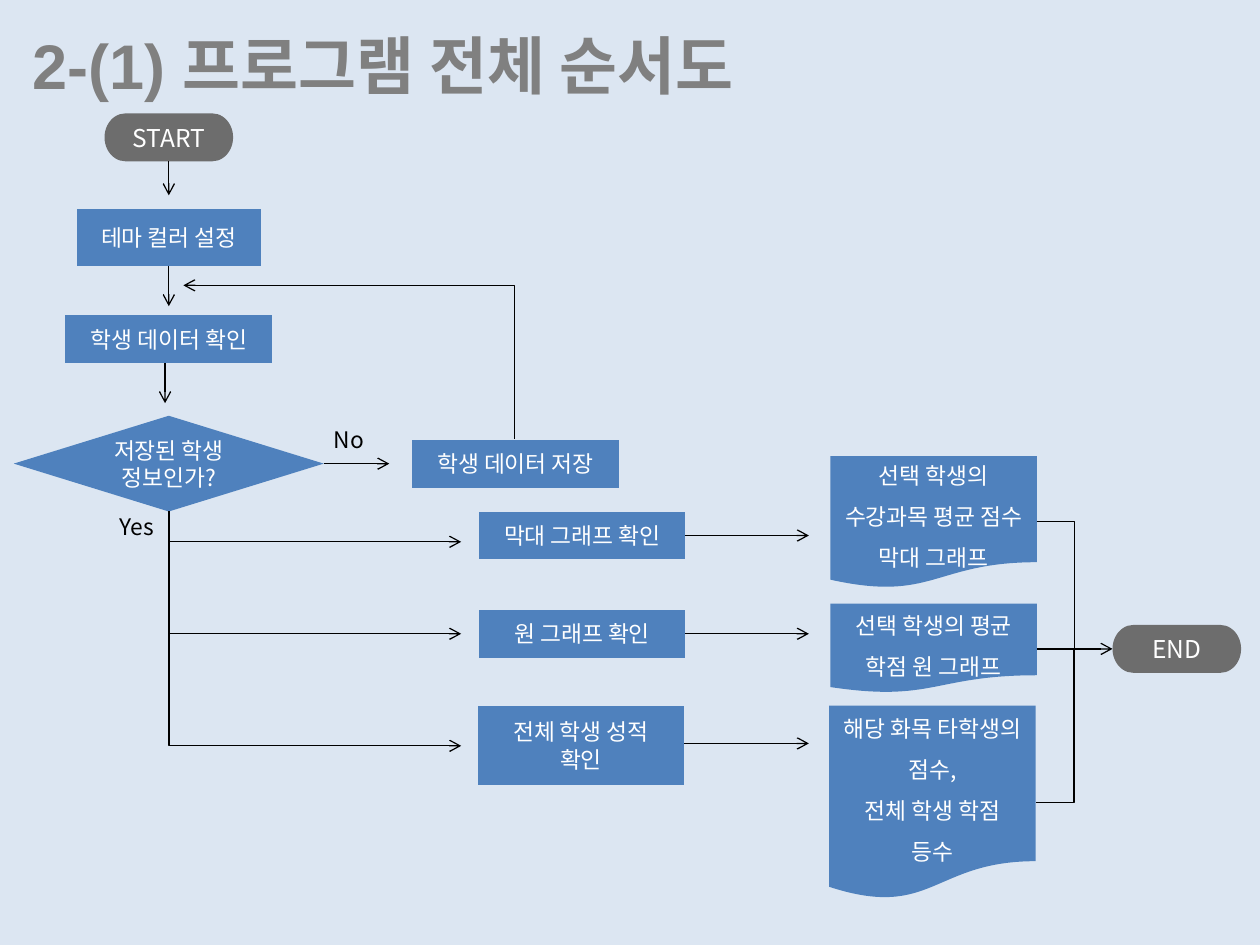
from lxml.etree import SubElement
from pptx import Presentation
from pptx.dml.color import RGBColor
from pptx.enum.shapes import MSO_CONNECTOR, MSO_SHAPE
from pptx.enum.text import MSO_ANCHOR, MSO_AUTO_SIZE, PP_ALIGN
from pptx.oxml.ns import qn
from pptx.util import Inches, Pt

COLORS = {"bg": "DCE6F2", "title": "808080", "end": "6D6D6D",
          "box": "4F81BD", "white": "FFFFFF", "black": "000000"}
KR = "Noto Sans CJK KR"
CELL = 0.1


def color(name):
    """Return the named colour."""
    return RGBColor.from_string(COLORS[name])


def grid(*cells):
    """Turn counts of grid cells into lengths."""
    return [Inches(n * CELL) for n in cells]


def write(tf, text, size=13, fill="white", font=KR, bold=False,
          align=PP_ALIGN.CENTER, spacing=None):
    """Fill a text frame, one paragraph per line of text."""
    for i, line in enumerate(text.split("\n")):
        p = tf.add_paragraph() if i else tf.paragraphs[0]
        p.alignment, p.line_spacing = align, spacing
        r = p.add_run()
        r.text = line
        r.font.size, r.font.bold, r.font.name = Pt(size), bold, font
        r.font.color.rgb = color(fill)
        SubElement(r.font._element, qn("a:ea"), typeface=KR)


def add_node(s, kind, at, text, fill="box", **fmt):
    """Add a filled flowchart symbol with centred text."""
    sp = s.shapes.add_shape(kind, *grid(*at))
    sp.shadow.inherit = False
    sp.fill.solid()
    sp.fill.fore_color.rgb = color(fill)
    sp.line.fill.background()
    tf = sp.text_frame
    tf.word_wrap, tf.vertical_anchor = True, MSO_ANCHOR.MIDDLE
    write(tf, text, **fmt)
    return sp


def add_label(s, at, text, wrap=True, **fmt):
    """Add a left-aligned text box."""
    tf = s.shapes.add_textbox(*grid(*at)).text_frame
    tf.word_wrap, tf.auto_size = wrap, MSO_AUTO_SIZE.SHAPE_TO_FIT_TEXT
    write(tf, text, align=PP_ALIGN.LEFT, **fmt)


def add_line(s, start, end, kind=MSO_CONNECTOR.STRAIGHT, arrow=True):
    """Add a thin black connector."""
    c = s.shapes.add_connector(kind, *grid(*start, *end))
    c.line.width = Pt(0.75)
    c.line.color.rgb = color("black")
    if arrow:
        SubElement(c.line._get_or_add_ln(), qn("a:tailEnd"), type="arrow")
    SubElement(c._element.spPr, qn("a:effectLst"))
    return c


def add_arrow_from(s, sp, side, start, end):
    """Add a straight arrow joined to a side of a symbol."""
    add_line(s, start, end).begin_connect(sp, side)


def add_corner(s, at, flip):
    """Add a one-bend arrow turned by 270 degrees."""
    x, y, w, h = at
    c = add_line(s, (x, y), (x + w, y + h), MSO_CONNECTOR.ELBOW)
    c._element.spPr.find(qn("a:prstGeom")).set("prst", "bentConnector2")
    xfrm = c._element.spPr.find(qn("a:xfrm"))
    xfrm.set("rot", str(270 * 60000))
    xfrm.set(flip, "1")


def add_bracket(s, start, end, bend):
    """Add a two-bend line whose bend is a share of its width."""
    c = add_line(s, start, end, MSO_CONNECTOR.ELBOW, arrow=False)
    av = c._element.spPr.find(qn("a:prstGeom")).get_or_add_avLst()
    SubElement(av, qn("a:gd"), name="adj1", fmla=f"val {bend * 100000}")


def main():
    """Build the flowchart slide."""
    prs = Presentation()
    prs.slide_width, prs.slide_height = grid(100, 75)
    s = prs.slides.add_slide(prs.slide_layouts[6])
    s.background.fill.solid()
    s.background.fill.fore_color.rgb = color("bg")
    box, doc = MSO_SHAPE.FLOWCHART_PROCESS, MSO_SHAPE.FLOWCHART_DOCUMENT
    cap = MSO_SHAPE.FLOWCHART_TERMINATOR
    w, h, trunk = 16.4, 3.8, 13.4

    add_label(s, (1.6, 1.6, 64.3, 7.1), "2-(1) 프로그램 전체 순서도", wrap=False,
              size=36, fill="title", font="Arial", bold=True)
    start = add_node(s, cap, (8.3, 9, 10.2, h), "START", "end", size=14)
    add_node(s, cap, (88.3, 49.6, 10.2, h), "END", "end", size=14)
    theme = add_node(s, box, (6.1, 16.6, 14.6, 4.5), "테마 컬러 설정")
    check = add_node(s, MSO_SHAPE.FLOWCHART_DECISION, (1.1, 33, 24.6, 7.6),
                     "저장된 학생 정보인가?")
    add_node(s, box, (5.2, 25, w, h), "학생 데이터 확인")
    add_node(s, box, (32.7, 34.9, w, h), "학생 데이터 저장")
    bar = add_node(s, box, (38, 40.6, w, h), "막대 그래프 확인")
    pie = add_node(s, box, (38, 48.4, w, h), "원 그래프 확인")
    add_node(s, box, (37.9, 56, w, 6.3), "전체 학생 성적 확인")
    for x, y, height, text in (
            (65.9, 36.2, 10.5, "선택 학생의 수강과목 평균 점수 막대 그래프"),
            (65.9, 47.9, 7.1, "선택 학생의 평균 학점 원 그래프"),
            (65.8, 56, 15.4, "해당 화목 타학생의 점수,\n전체 학생 학점 등수")):
        add_node(s, doc, (x, y, w, height), text, spacing=1.5)

    add_arrow_from(s, start, 2, (trunk, 12.8), (trunk, 15.5))
    add_arrow_from(s, theme, 2, (trunk, 21.1), (trunk, 24.3))
    add_arrow_from(s, check, 3, (25.7, 36.8), (30.9, 36.8))
    add_arrow_from(s, bar, 3, (54.4, 42.5), (64.2, 42.5))
    add_arrow_from(s, pie, 3, (54.4, 50.3), (64.2, 50.3))
    add_line(s, (54.3, 59), (64.2, 59))
    add_line(s, (13.1, 28.8), (13.1, 32))
    for y in (43, 50.3):
        add_line(s, (trunk, y), (36.6, y))
    add_corner(s, (21.6, 15.6, 12.2, 26.3), "flipV")
    add_corner(s, (15.7, 38.3, 18.6, 23.2), "flipH")
    add_line(s, (82.3, 41.4), (88.3, 51.5), MSO_CONNECTOR.ELBOW)
    add_bracket(s, (82.3, 51.5), (82.2, 63.7), -30)
    add_label(s, (8.5, 40.2, 5.6, 3.2), "Yes", fill="black")
    add_label(s, (25.5, 33.3, 5.6, 3.2), "No", fill="black")
    prs.save("out.pptx")


if __name__ == "__main__":
    main()
